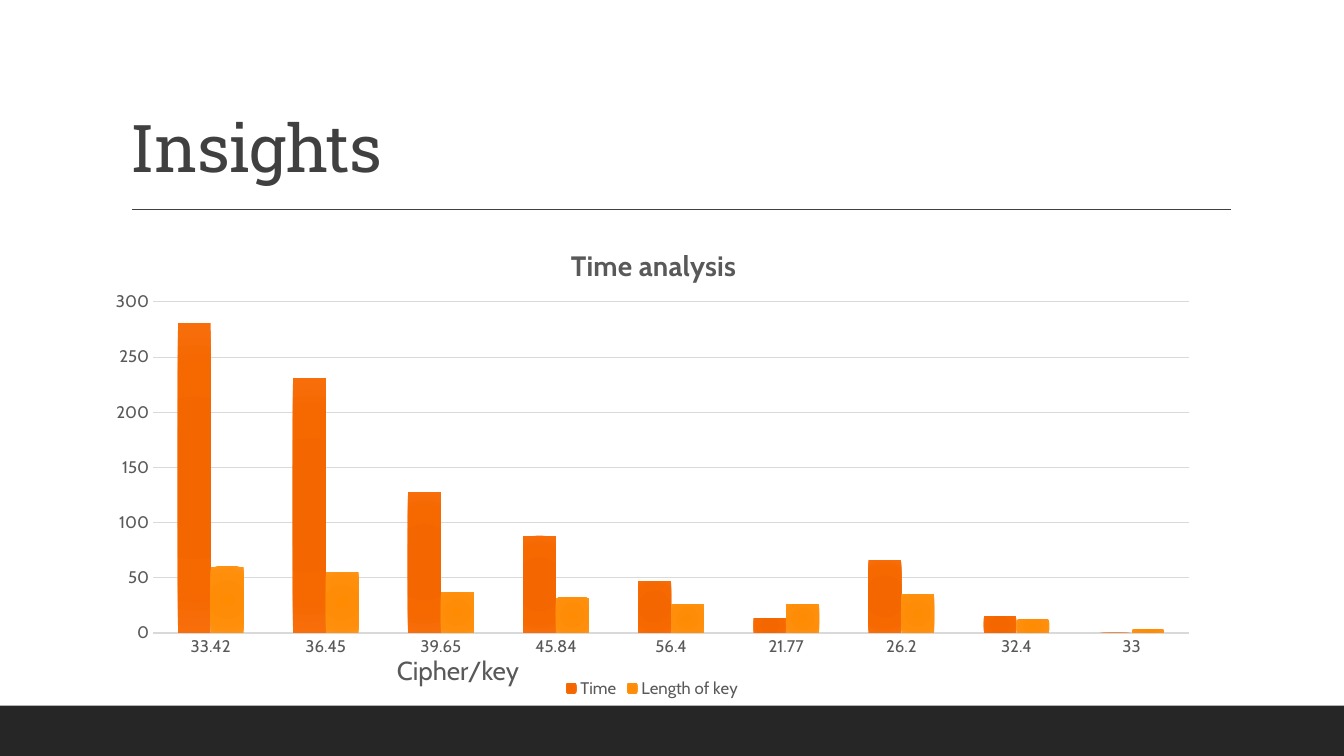
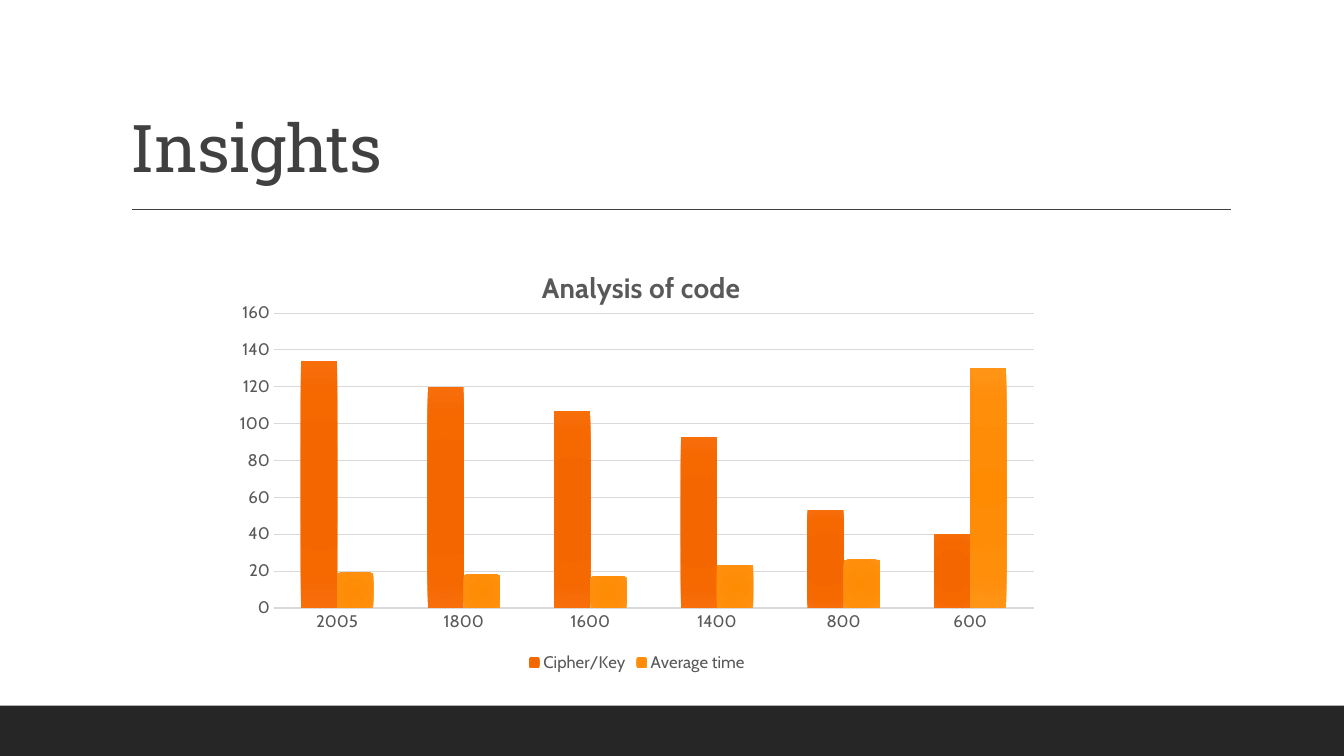
import pptx
import pptx.chart.data
import pptx.dml.color
import pptx.enum.chart
import pptx.enum.shapes
import pptx.enum.text
import pptx.oxml
import pptx.oxml.ns
import pptx.util

Cm = pptx.util.Cm
Pt = pptx.util.Pt
RGB = pptx.dml.color.RGBColor.from_string

COLOURS = {"band": "262626", "dark": "404040", "text": "595959", "grid": "D9D9D9"}
HEADING_FONT = "Roboto Slab"
BODY_FONT = "Cabin"
SERIES_STOPS = [
    ["F06500", "F36600", "F66800", "F76E0B"],
    ["FF8B03", "FF8C06", "FF8E0A", "FF9416"],
]
STOP_POSITIONS = [0, 34, 70, 100]

# Frames are left, top, width, height in centimetres on the slide.
SLIDES = [
    {
        "title": "Time analysis",
        "title_at": (14.26, 6.07),
        "frame": (2.34, 5.41, 28.19, 12.29),
        "plot": (3.86, 7.61, 26.11, 8.34),
        "categories": ["33.42", "36.45", "39.65", "45.84", "56.4", "21.77", "26.2", "32.4", "33"],
        "series": {
            "Time": [281, 231, 128, 88, 47, 13, 66, 15, 0],
            "Length of key": [60, 55, 37, 32, 26, 26, 35, 12, 3],
        },
        "scale": (300, 50),
        "label": "Cipher/key",
    },
    {
        "title": "Analysis of code",
        "title_at": (13.53, 6.63),
        "frame": (5.64, 5.72, 20.83, 11.33),
        "plot": (6.9, 7.89, 19.15, 7.43),
        "categories": ["2005", "1800", "1600", "1400", "800", "600"],
        "series": {
            "Cipher/Key": [134, 120, 107, 93, 53, 40],
            "Average time": [19, 18, 17, 23, 26, 130],
        },
        "scale": (160, 20),
        "label": None,
    },
]


def add_text(slide, text, frame, font_name, size, colour):
    box = slide.shapes.add_textbox(*map(Cm, frame))
    box.text_frame.word_wrap = True
    box.text_frame.text = text
    font = box.text_frame.paragraphs[0].runs[0].font
    font.name, font.size = font_name, Pt(size)
    font.color.rgb = RGB(COLOURS[colour])
    return box


def place_in_chart(element, index, frame, area):
    """Give a chart part a manual layout, as fractions of the chart frame."""
    for old in element.findall(pptx.oxml.ns.qn("c:layout")):
        element.remove(old)
    left, top, width, height = frame
    values = {"x": (area[0] - left) / width, "y": (area[1] - top) / height}
    target = ""
    if len(area) == 4:
        target = '<c:layoutTarget val="inner"/>'
        values.update(w=area[2] / width, h=area[3] / height)
    modes = "".join(f'<c:{key}Mode val="edge"/>' for key in "xy")
    sizes = "".join(f'<c:{key} val="{value:.4f}"/>' for key, value in values.items())
    element.insert(index, pptx.oxml.parse_xml(
        f'<c:layout {pptx.oxml.ns.nsdecls("c")}><c:manualLayout>'
        f"{target}{modes}{sizes}</c:manualLayout></c:layout>"))


deck = pptx.Presentation()
deck.slide_width, deck.slide_height = Cm(33.87), Cm(19.05)

for page in SLIDES:
    slide = deck.slides.add_slide(deck.slide_layouts[6])

    band = slide.shapes.add_shape(
        pptx.enum.shapes.MSO_SHAPE.RECTANGLE, 0, Cm(17.78), deck.slide_width, Cm(1.27))
    band.shadow.inherit = False
    band.fill.solid()
    band.fill.fore_color.rgb = RGB(COLOURS["band"])
    band.line.fill.background()

    rule = slide.shapes.add_connector(
        pptx.enum.shapes.MSO_CONNECTOR.STRAIGHT, Cm(3.33), Cm(5.28), Cm(31.01), Cm(5.28))
    rule.line.color.rgb = RGB(COLOURS["dark"])
    rule.line.width = Pt(1)
    rule.element.spPr.append(
        pptx.oxml.parse_xml(f'<a:effectLst {pptx.oxml.ns.nsdecls("a")}/>'))

    heading = add_text(slide, "Insights", (3.05, 0.79, 27.94, 4.04), HEADING_FONT, 47, "dark")
    heading.text_frame.vertical_anchor = pptx.enum.text.MSO_ANCHOR.BOTTOM
    para = heading.text_frame.paragraphs[0]
    para.line_spacing = 0.9
    para.runs[0].font._element.set("spc", "-50")

    data = pptx.chart.data.CategoryChartData()
    data.categories = page["categories"]
    for name, values in page["series"].items():
        data.add_series(name, values)
    chart = slide.shapes.add_chart(
        pptx.enum.chart.XL_CHART_TYPE.COLUMN_CLUSTERED, *map(Cm, page["frame"]), data).chart
    chart.font.name, chart.font.size = BODY_FONT, Pt(12)
    chart.font.color.rgb = RGB(COLOURS["text"])

    chart.has_title = True
    chart.chart_title.text_frame.text = page["title"]
    title_font = chart.chart_title.text_frame.paragraphs[0].runs[0].font
    title_font.name, title_font.size, title_font.bold = BODY_FONT, Pt(20), True
    title_font.color.rgb = RGB(COLOURS["text"])
    place_in_chart(chart.chart_title._element, 1, page["frame"], page["title_at"])
    plot_area = chart._chartSpace.xpath(".//c:plotArea")[0]
    place_in_chart(plot_area, 0, page["frame"], page["plot"])

    chart.has_legend = True
    chart.legend.position = pptx.enum.chart.XL_LEGEND_POSITION.BOTTOM
    chart.legend.include_in_layout = False

    for axis in (chart.category_axis, chart.value_axis):
        axis.major_tick_mark = axis.minor_tick_mark = pptx.enum.chart.XL_TICK_MARK.NONE
    chart.value_axis.format.line.fill.background()
    chart.value_axis.minimum_scale = 0
    chart.value_axis.maximum_scale, chart.value_axis.major_unit = page["scale"]
    chart.value_axis.has_major_gridlines = True
    for line, width in ((chart.category_axis.format.line, 1),
                        (chart.value_axis.major_gridlines.format.line, 0.75)):
        line.color.rgb = RGB(COLOURS["grid"])
        line.width = Pt(width)

    plot = chart.plots[0]
    plot.gap_width, plot.overlap = 150, 0
    plot.vary_by_categories = False
    for series, colours in zip(plot.series, SERIES_STOPS):
        stops = "".join(
            f'<a:gs pos="{position * 1000}"><a:srgbClr val="{colour}"/></a:gs>'
            for position, colour in zip(STOP_POSITIONS, colours))
        series._element.get_or_add_spPr().append(pptx.oxml.parse_xml(
            f'<a:gradFill {pptx.oxml.ns.nsdecls("a")}><a:gsLst>{stops}</a:gsLst>'
            '<a:path path="circle"><a:fillToRect l="100000" t="100000" r="100000" b="100000"/>'
            "</a:path></a:gradFill>"))

    if page["label"]:
        add_text(slide, page["label"], (9.75, 16.38, 4.09, 1.04), BODY_FONT, 18.6, "text")

deck.save("out.pptx")
